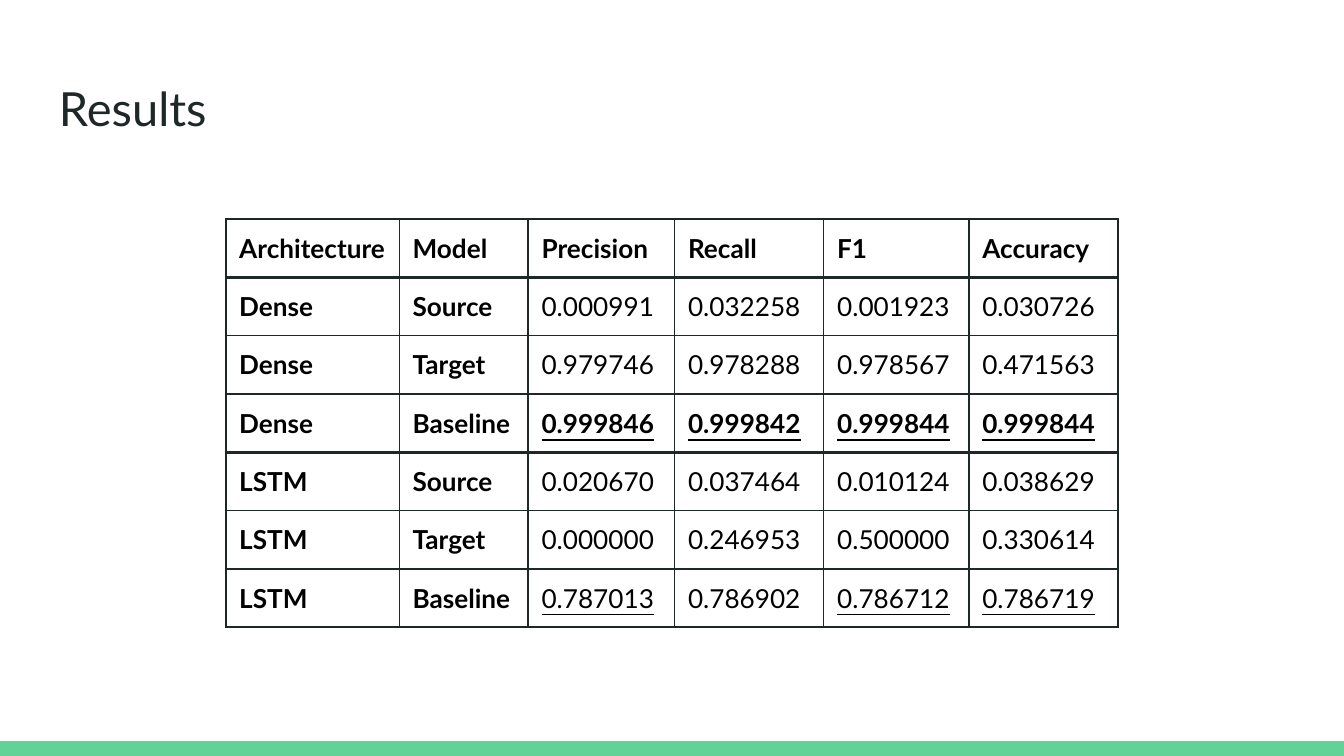
from lxml.etree import SubElement as Sub
from pptx import Presentation as Deck
from pptx.dml.color import RGBColor as Color
from pptx.enum.shapes import MSO_SHAPE as Kind
from pptx.oxml.ns import qn
from pptx.util import Inches, Pt

INK = Color(0x20, 0x27, 0x29)
BLACK = Color(0, 0, 0)
GREEN = Color(0x63, 0xD2, 0x97)

WIDE = Inches(10)
TALL = WIDE * 9 // 16

WIDTHS = [1.29, 0.96, 1.09, 1.11, 1.08, 1.11]
HIGH = 0.43
HEAVY_X = {0, 2, 6}
HEAVY_Y = {0, 1, 4, 7}
UNDER = {(3, 2), (3, 3), (3, 4), (3, 5), (6, 2), (6, 4), (6, 5)}
BEST = 3

ROWS = [
    ["Architecture", "Model", "Precision", "Recall", "F1", "Accuracy"],
    ["Dense", "Source", "0.000991", "0.032258", "0.001923", "0.030726"],
    ["Dense", "Target", "0.979746", "0.978288", "0.978567", "0.471563"],
    ["Dense", "Baseline", "0.999846", "0.999842", "0.999844", "0.999844"],
    ["LSTM", "Source", "0.020670", "0.037464", "0.010124", "0.038629"],
    ["LSTM", "Target", "0.000000", "0.246953", "0.500000", "0.330614"],
    ["LSTM", "Baseline", "0.787013", "0.786902", "0.786712", "0.786719"],
]

INSETS = {f"margin_{side}": Inches(0.1) for side in ("left", "top", "right", "bottom")}


def apply(item, form):
    for key, value in form.items():
        setattr(item, key, value)


def write(para, text, color, **form):
    run = para.add_run()
    run.text = text
    apply(run.font, {"name": "Lato", **form})
    run.font.color.rgb = color


def add_bar(slide):
    deep = Inches(0.11)
    bar = slide.shapes.add_shape(Kind.RECTANGLE, 0, TALL - deep, WIDE, deep)
    bar.shadow.inherit = False
    bar.fill.solid()
    bar.fill.fore_color.rgb = GREEN
    bar.line.fill.background()


def add_title(slide, text):
    box = slide.shapes.add_textbox(
        Inches(0.34), Inches(0.49), Inches(9.32), Inches(0.63))
    frame = box.text_frame
    apply(frame, {"word_wrap": True, **INSETS})
    write(frame.paragraphs[0], text, INK, size=Pt(25.2))


def set_edges(cell, row, col):
    props = cell._tc.get_or_add_tcPr()
    heavy = {
        "L": col in HEAVY_X,
        "R": col + 1 in HEAVY_X,
        "T": row in HEAVY_Y,
        "B": row + 1 in HEAVY_Y,
    }
    for side, thick in heavy.items():
        line = Sub(props, qn(f"a:ln{side}"), w=str(Pt(1.5 if thick else 0.75)))
        fill = Sub(line, qn("a:solidFill"))
        Sub(fill, qn("a:srgbClr"), val=str(INK))


def fill_cell(cell, row, col):
    apply(cell, INSETS)
    set_edges(cell, row, col)
    cell.fill.background()
    write(cell.text_frame.paragraphs[0], ROWS[row][col], BLACK, size=Pt(14),
          bold=col < 2 or row in (0, BEST), underline=(row, col) in UNDER)


def add_grid(slide):
    frame = slide.shapes.add_table(
        len(ROWS), len(WIDTHS), Inches(1.68), Inches(1.63),
        Inches(sum(WIDTHS)), Inches(HIGH * len(ROWS)))
    grid = frame.table
    apply(grid, {"first_row": False, "horz_banding": False})
    for col, width in zip(grid.columns, WIDTHS):
        col.width = Inches(width)
    for y, row in enumerate(grid.rows):
        row.height = Inches(HIGH)
        for x, cell in enumerate(row.cells):
            fill_cell(cell, y, x)


def main():
    deck = Deck()
    apply(deck, {"slide_width": WIDE, "slide_height": TALL})
    slide = deck.slides.add_slide(deck.slide_layouts[6])
    add_bar(slide)
    add_title(slide, "Results")
    add_grid(slide)
    deck.save("out.pptx")


if __name__ == "__main__":
    main()
